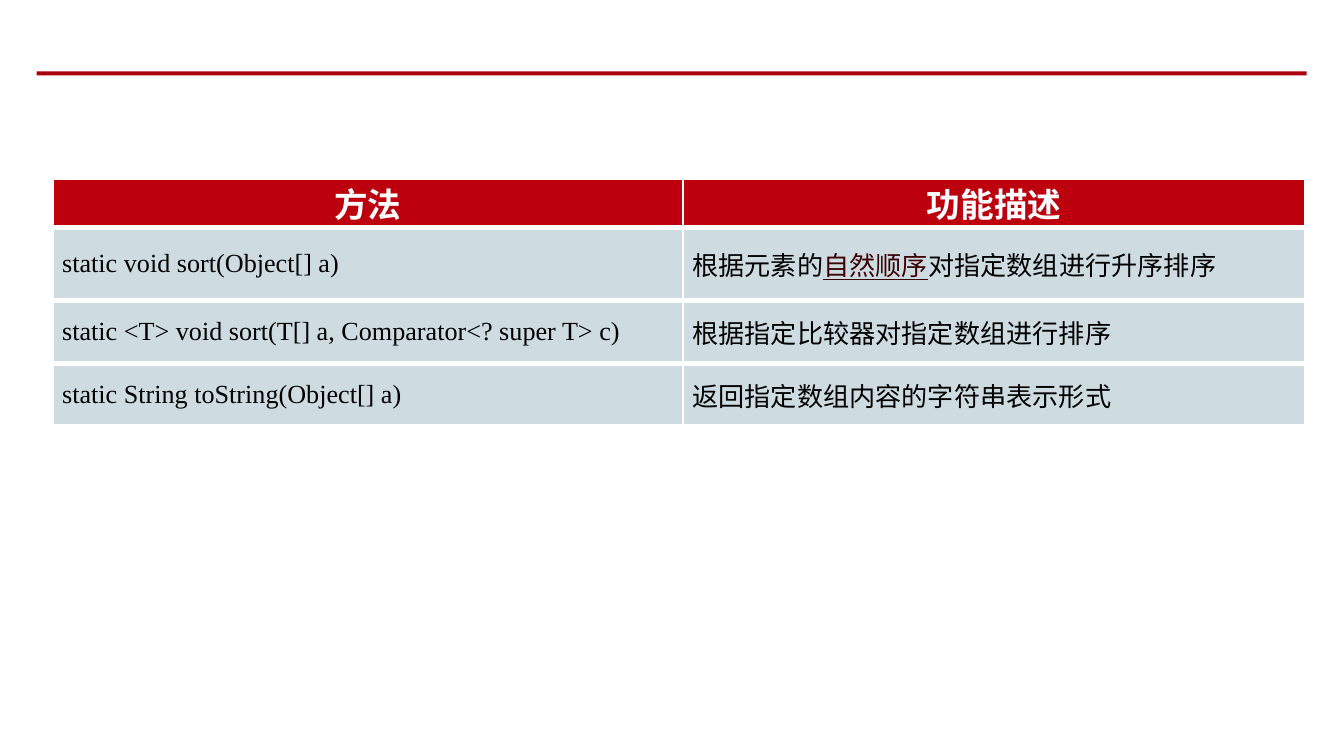
from pptx import Presentation
from pptx import util as u
from pptx.dml import color
from pptx.enum import lang, shapes, text
from pptx.oxml import parse_xml
from pptx.oxml import ns

FONT = "Times New Roman"
RULE, HEAD, BODY = "AA000B", "BC000D", "CEDCE1"
WHITE, BLACK, LINK = "FFFFFF", "000000", "3A0004"


def rgb(value):
    return color.RGBColor.from_string(value)


class Deck:
    def __init__(self, width, height):
        self.prs = Presentation()
        self.prs.slide_width, self.prs.slide_height = u.Pt(width), u.Pt(height)
        self.s = self.prs.slides.add_slide(self.prs.slide_layouts[6])

    def bar(self, x, y, w, h, fill):
        sp = self.s.shapes.add_shape(shapes.MSO_SHAPE.RECTANGLE,
                                     u.Pt(x), u.Pt(y), u.Pt(w), u.Pt(h))
        sp.shadow.inherit = False
        sp.fill.solid()
        sp.fill.fore_color.rgb = rgb(fill)
        sp.line.fill.background()

    def run(self, p, words, size, ink, bold=False, underline=False):
        r = p.add_run()
        r.text = words
        f = r.font
        f.name, f.size, f.bold, f.underline = FONT, u.Pt(size), bold, underline
        f.color.rgb = rgb(ink)
        f.language_id = lang.MSO_LANGUAGE_ID.SIMPLIFIED_CHINESE

    def borders(self, cell, **widths):
        tc_pr = cell._tc.get_or_add_tcPr()
        for i, (side, width) in enumerate(widths.items()):
            tc_pr.insert(i, parse_xml(
                f'<a:ln{side} {ns.nsdecls("a")} w="{u.Pt(width)}"><a:solidFill>'
                f'<a:srgbClr val="{WHITE}"/></a:solidFill></a:ln{side}>'))

    def cell(self, cell, runs, header):
        cell.fill.solid()
        cell.fill.fore_color.rgb = rgb(HEAD if header else BODY)
        cell.vertical_anchor = text.MSO_ANCHOR.MIDDLE
        cell.margin_left = cell.margin_right = u.Pt(5.04)
        cell.margin_top = cell.margin_bottom = 0
        p = cell.text_frame.paragraphs[0]
        p.alignment = text.PP_ALIGN.CENTER if header else text.PP_ALIGN.JUSTIFY
        for words, linked in runs:
            if header:
                self.run(p, words, 18, WHITE, bold=True)
            else:
                self.run(p, words, 14, LINK if linked else BLACK, underline=linked)
        self.borders(cell, L=1, R=1, T=1 if header else 3, B=3)

    def table(self, x, y, widths, heights, rows):
        tbl = self.s.shapes.add_table(len(rows), len(widths), u.Pt(x), u.Pt(y),
                                      u.Pt(sum(widths)), u.Pt(sum(heights))).table
        for col, width in zip(tbl.columns, widths):
            col.width = u.Pt(width)
        for i, (row, height) in enumerate(zip(rows, heights)):
            tbl.rows[i].height = u.Pt(height)
            for j, content in enumerate(row):
                runs = [(content, False)] if isinstance(content, str) else content
                self.cell(tbl.cell(i, j), runs, header=i == 0)


deck = Deck(720, 405)

# Rule below the title area
deck.bar(19.6, 38.2, 680.4, 2.2, RULE)

# Sorting methods
deck.table(28.3, 95.8, [337.6, 333.4], [16.6, 38.9, 33.8, 33.8], [
    ["方法", "功能描述"],
    ["static void sort(Object[] a)",
     [("根据元素的", False), ("自然顺序", True), ("对指定数组进行升序排序", False)]],
    ["static <T> void sort(T[] a, Comparator<? super T> c)",
     "根据指定比较器对指定数组进行排序"],
    ["static String toString(Object[] a)", "返回指定数组内容的字符串表示形式"],
])

deck.prs.save("out.pptx")
